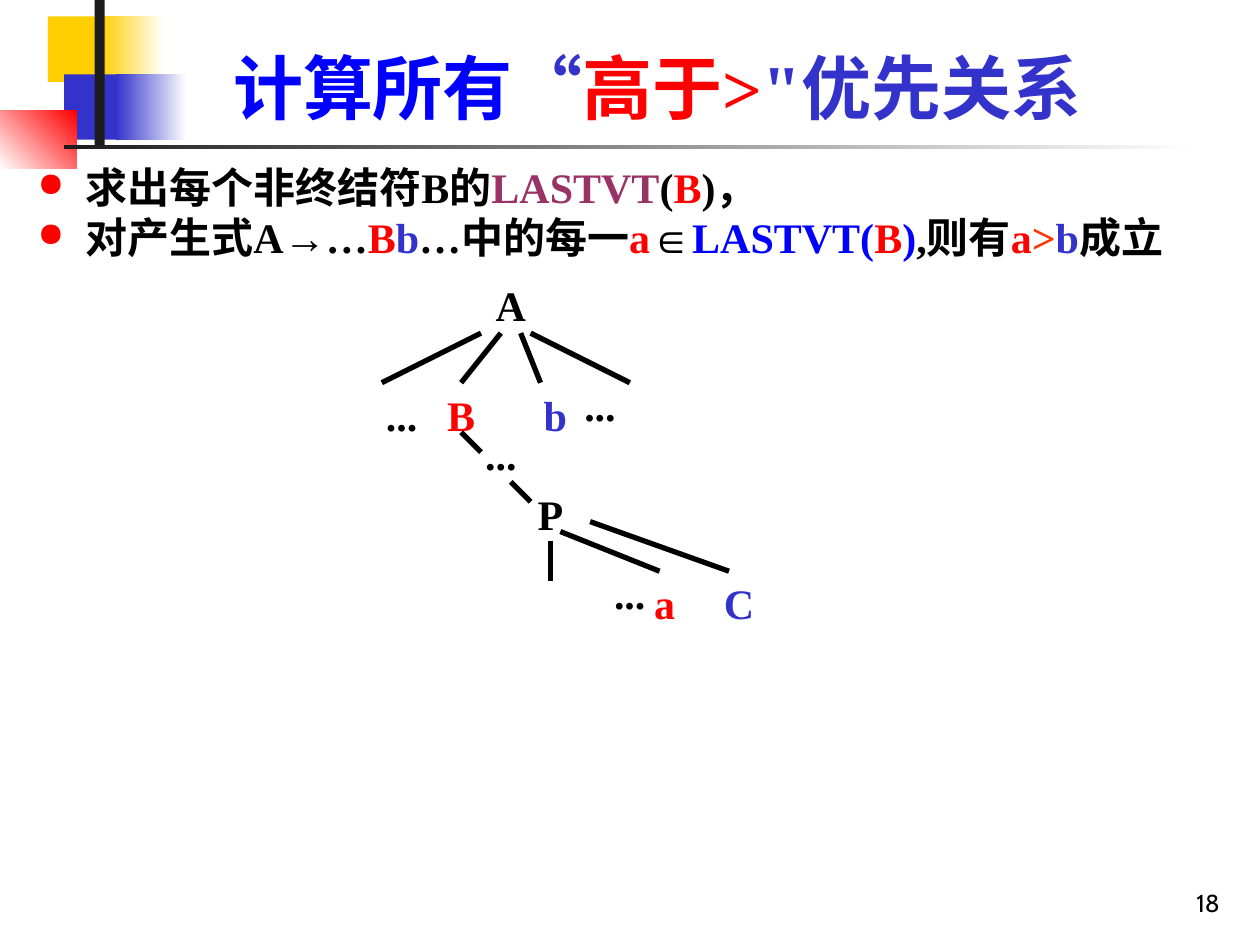
from lxml.etree import SubElement
from pptx import Presentation
from pptx.dml.color import RGBColor
from pptx.enum.shapes import MSO_CONNECTOR, MSO_SHAPE
from pptx.enum.text import MSO_ANCHOR, PP_ALIGN
from pptx.oxml.ns import qn
from pptx.util import Inches, Pt

BLACK, RED, BLUE, NAVY = "000000", "FF0000", "0000FF", "3333CC"
GOLD, WHITE, DARK = "FFCF01", "FFFFFF", "1C1C1C"
SERIF = "Times New Roman"


def tint(color, code):
    color.rgb = RGBColor.from_string(code)


def write(area, lines, size, align, anchor=MSO_ANCHOR.TOP, bold=True):
    frame = slide.shapes.add_textbox(*map(int, area)).text_frame
    frame.word_wrap = True
    frame.vertical_anchor = anchor
    for row, parts in enumerate(lines):
        par = frame.add_paragraph() if row else frame.paragraphs[0]
        par.alignment = align
        for words, code, face in parts:
            run = par.add_run()
            run.text = words
            run.font.size = Pt(size)
            run.font.bold = bold
            run.font.name = face
            tint(run.font.color, code)
    return frame


deck = Presentation()
deck.slide_width, deck.slide_height = Inches(10), Inches(7.5)
slide = deck.slides.add_slide(deck.slide_layouts[6])
col, row = deck.slide_width / 100, deck.slide_height / 100

blocks = [
    (3.8, 1.73, 6.7, 6.93, GOLD, GOLD, 0),
    (8, 1.73, 5, 6.93, GOLD, WHITE, 0),
    (5.1, 7.87, 6.4, 6.93, NAVY, NAVY, 0),
    (9.2, 7.87, 5.6, 6.93, NAVY, WHITE, 0),
    (0, 11.73, 6.1, 6.13, WHITE, RED, 45),
    (7.5, 0, 0.8, 15.33, DARK, DARK, 0),
    (5.1, 15.33, 90, 0.4, DARK, WHITE, 0),
]
for left, top, wide, high, start, end, turn in blocks:
    block = slide.shapes.add_shape(
        MSO_SHAPE.RECTANGLE, int(left * col), int(top * row), int(wide * col), int(high * row))
    block.shadow.inherit = False
    block.line.fill.background()
    if start == end:
        block.fill.solid()
        tint(block.fill.fore_color, start)
    else:
        block.fill.gradient()
        block.fill.gradient_angle = turn
        for stop, code in zip(block.fill.gradient_stops, (start, end)):
            tint(stop.color, code)

write((77 * col, 91.07 * row, 20.8 * col, 6.67 * row), [[("18", BLACK, "Cabin")]],
      14, PP_ALIGN.RIGHT, MSO_ANCHOR.BOTTOM, False)

title = [("计算所有", BLUE, SERIF), ("“", NAVY, "Courier New"),
         ("高于>", RED, SERIF), ("\"优先关系", NAVY, SERIF)]
write((12.6 * col, 3.07 * row, 79.1 * col, 11.2 * row), [title],
      40, PP_ALIGN.CENTER, MSO_ANCHOR.BOTTOM)

rules = [
    [("求出每个非终结符B的", BLACK), ("LASTVT", "993366"), ("(", BLACK), ("B", RED), (")，", BLACK)],
    [("对产生式A→…", BLACK), ("B", RED), ("b", NAVY), ("…中的每一", BLACK), ("a", RED),
     ("∈", BLACK), ("LASTVT(", BLUE), ("B", RED), (")", BLUE), (",则有", BLACK),
     ("a", RED), (">", "FF3300"), ("b", NAVY), ("成立", BLACK)],
]
lines = [[(words, code, SERIF) for words, code in parts] for parts in rules]
body = write((2 * col, 16.4 * row, 93.7 * col, 12.53 * row), lines, 24, PP_ALIGN.JUSTIFY)
for par in body.paragraphs:
    props = par._p.get_or_add_pPr()
    props.set("marL", str(Inches(0.38)))
    props.set("indent", str(-Inches(0.38)))
    shade = SubElement(props, qn("a:buClr"))
    SubElement(shade, qn("a:srgbClr"), val=RED)
    SubElement(props, qn("a:buSzPct"), val="80000")
    SubElement(props, qn("a:buChar"), char="●")

unit = deck.slide_width / 127
west, north = 30.3 * col, 30 * row

nodes = [
    ("A", 10, 0, 6, BLACK), ("...", -1, 11, 6, BLACK), ("B", 5, 11, 6, RED),
    ("b", 15, 11, 5, NAVY), ("...", 19, 10, 6, BLACK), ("P", 13, 21, 8, BLACK),
    ("a", 26, 30, 5, RED), ("...", 22, 29, 6, BLACK), ("...", 9, 15, 6, BLACK),
    ("C", 33, 30, 6, NAVY),
]
for words, left, top, wide, code in nodes:
    area = (west + left * unit, north + top * unit, wide * unit, 5.3 * unit)
    node = write(area, [[(words, code, SERIF)]], 24, PP_ALIGN.CENTER)
    node.paragraphs[0].line_spacing = 0.8

edges = [
    (10, 5, 0, 10), (12, 5, 8, 10), (14, 5, 16, 10), (15, 5, 25, 10), (8, 15, 10, 17),
    (13, 20, 15, 22), (17, 26, 17, 30), (18, 25, 28, 29), (21, 24, 35, 29),
]
for left, top, right, low in edges:
    edge = slide.shapes.add_connector(
        MSO_CONNECTOR.STRAIGHT, int(west + left * unit), int(north + top * unit),
        int(west + right * unit), int(north + low * unit))
    edge.line.width = Pt(3)
    tint(edge.line.color, BLACK)
    SubElement(edge._element.spPr, qn("a:effectLst"))

deck.save("out.pptx")
